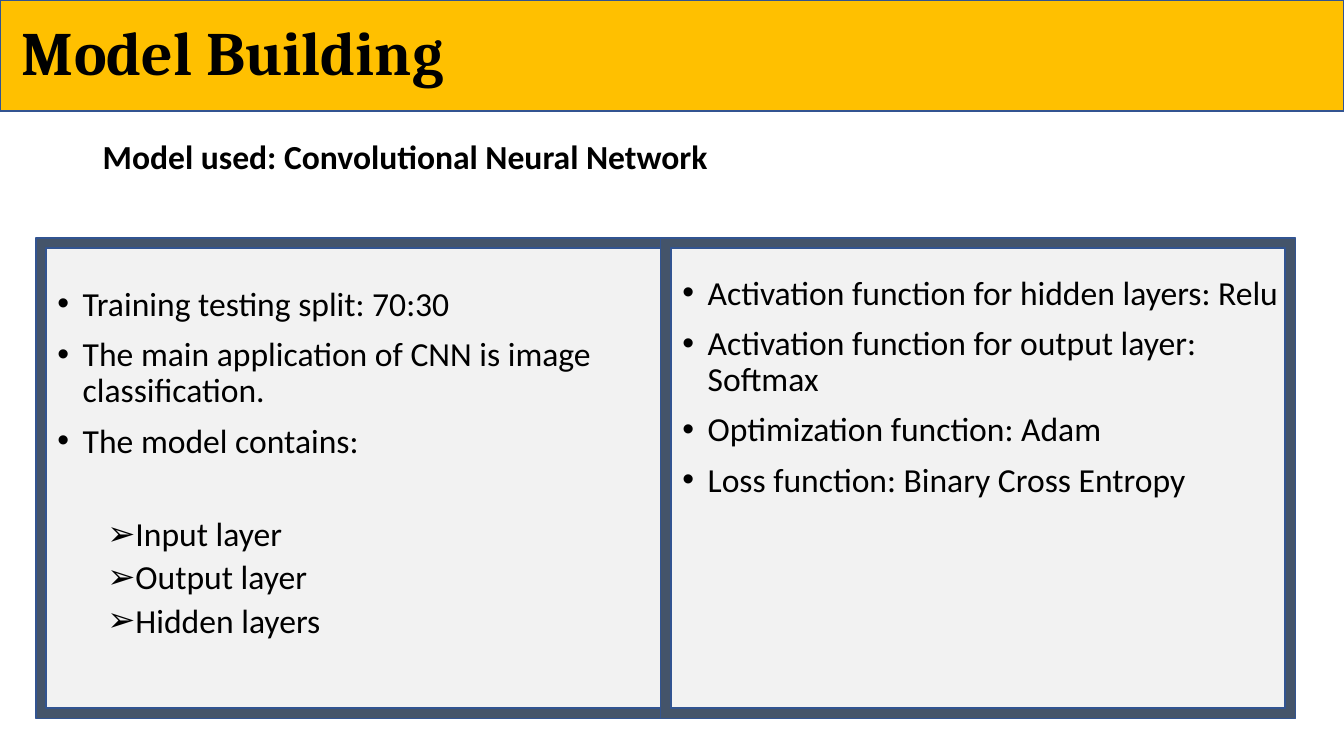
from lxml.etree import SubElement
from pptx import Presentation
from pptx.dml.color import RGBColor
from pptx.enum.shapes import MSO_SHAPE
from pptx.enum.text import MSO_ANCHOR, MSO_AUTO_SIZE, PP_ALIGN
from pptx.oxml.ns import qn
from pptx.util import Cm, Pt

# Content: each list line is (text, bullet, indent in cm, space before in points)
TITLE = "Model Building"
SUBTITLE = "Model used: Convolutional Neural Network"
MODEL_LINES = [
    ("Training testing split: 70:30", "•", 0.64, 0),
    ("The main application of CNN is image classification.", "•", 0.64, 10),
    ("The model contains:", "•", 0.64, 10),
    ("Input layer", "➢", 1.9, 41),
    ("Output layer", "➢", 1.9, 5),
    ("Hidden layers", "➢", 1.9, 5),
]
FUNCTION_LINES = [
    ("Activation function for hidden layers: Relu", "•", 0.64, 0),
    ("Activation function for output layer: Softmax", "•", 0.64, 10),
    ("Optimization function: Adam", "•", 0.64, 10),
    ("Loss function: Binary Cross Entropy", "•", 0.64, 10),
]

# Layout in cm
SLIDE_WIDTH, SLIDE_HEIGHT = 33.87, 19.05
BANNER_HEIGHT = 2.8
FRAME_LEFT, FRAME_TOP, FRAME_WIDTH, FRAME_HEIGHT = 0.91, 6.0, 16.0, 12.1
FRAME_BORDER = 0.26
FRAME_THICKNESS = 0.021
HANGING = 0.64
COLUMNS = [(MODEL_LINES, 1.19, 7.11, 10.97), (FUNCTION_LINES, 16.94, 6.83, 10.41)]
COLUMN_WIDTH = 16.1

# Formats
BODY_FONT = {"name": "Calibri", "size": Pt(24), "bold": False}
SUBTITLE_FONT = {**BODY_FONT, "bold": True}
TITLE_FONT = {"name": "Cambria", "size": Pt(44), "bold": True}


def color(hex_code):
    return RGBColor.from_string(hex_code)


def apply(target, values):
    for name, value in values.items():
        setattr(target, name, value)


def place(shape, left, top, width, height):
    apply(shape, {"left": Cm(left), "top": Cm(top),
                  "width": Cm(width), "height": Cm(height)})


def add_panel(slide, kind, box, fill):
    shape = slide.shapes.add_shape(kind, *(Cm(value) for value in box))
    shape.shadow.inherit = False
    shape.fill.solid()
    shape.fill.fore_color.rgb = color(fill)
    shape.line.color.rgb = color("325491")
    shape.line.width = Pt(1)
    return shape


def write(paragraph, text, font_values):
    run = paragraph.add_run()
    run.text = text
    apply(run.font, font_values)
    run.font.color.rgb = color("000000")


def add_bullet(paragraph, bullet, indent):
    properties = paragraph._p.get_or_add_pPr()
    properties.set("marL", str(Cm(indent)))
    properties.set("indent", str(-Cm(HANGING)))
    SubElement(properties, qn("a:buFont")).set("typeface", "Arial")
    SubElement(properties, qn("a:buChar")).set("char", bullet)


def fill_list(frame, lines):
    apply(frame, {"word_wrap": True, "auto_size": MSO_AUTO_SIZE.NONE,
                  "vertical_anchor": MSO_ANCHOR.TOP})
    for index, (text, bullet, indent, space) in enumerate(lines):
        paragraph = frame.add_paragraph() if index else frame.paragraphs[0]
        add_bullet(paragraph, bullet, indent)
        apply(paragraph, {"line_spacing": 0.9, "space_before": Pt(space),
                          "alignment": PP_ALIGN.LEFT})
        write(paragraph, text, BODY_FONT)


def bring_to_front(shape):
    shape._element.getparent().append(shape._element)


def main():
    presentation = Presentation()
    apply(presentation, {"slide_width": Cm(SLIDE_WIDTH), "slide_height": Cm(SLIDE_HEIGHT)})
    slide = presentation.slides.add_slide(presentation.slide_layouts[3])
    title, *bodies = slide.placeholders

    # Two framed panels with their lists
    for index, (body, column) in enumerate(zip(bodies, COLUMNS)):
        lines, left, top, height = column
        frame_left = FRAME_LEFT + index * (FRAME_WIDTH - FRAME_BORDER)
        inner = (frame_left + FRAME_BORDER, FRAME_TOP + FRAME_BORDER,
                 FRAME_WIDTH - 2 * FRAME_BORDER, FRAME_HEIGHT - 2 * FRAME_BORDER)
        outer = (frame_left, FRAME_TOP, FRAME_WIDTH, FRAME_HEIGHT)
        add_panel(slide, MSO_SHAPE.RECTANGLE, inner, "F2F2F2")
        border = add_panel(slide, MSO_SHAPE.FRAME, outer, "44546A")
        border.adjustments[0] = FRAME_THICKNESS
        place(body, left, top, COLUMN_WIDTH, height)
        fill_list(body.text_frame, lines)
        bring_to_front(body)

    # Subtitle
    subtitle = slide.shapes.add_textbox(Cm(2.34), Cm(3.3), Cm(16.66), Cm(1.27))
    subtitle.text_frame.word_wrap = True
    write(subtitle.text_frame.paragraphs[0], SUBTITLE, SUBTITLE_FONT)

    # Title banner
    add_panel(slide, MSO_SHAPE.RECTANGLE, (0, 0, SLIDE_WIDTH, BANNER_HEIGHT), "FFC000")
    place(title, 0.3, 0, 29.2, BANNER_HEIGHT)
    apply(title.text_frame, {"word_wrap": True, "auto_size": MSO_AUTO_SIZE.NONE,
                             "vertical_anchor": MSO_ANCHOR.MIDDLE})
    paragraph = title.text_frame.paragraphs[0]
    apply(paragraph, {"line_spacing": 0.9, "alignment": PP_ALIGN.LEFT})
    write(paragraph, TITLE, TITLE_FONT)
    bring_to_front(title)

    presentation.save("out.pptx")


if __name__ == "__main__":
    main()
